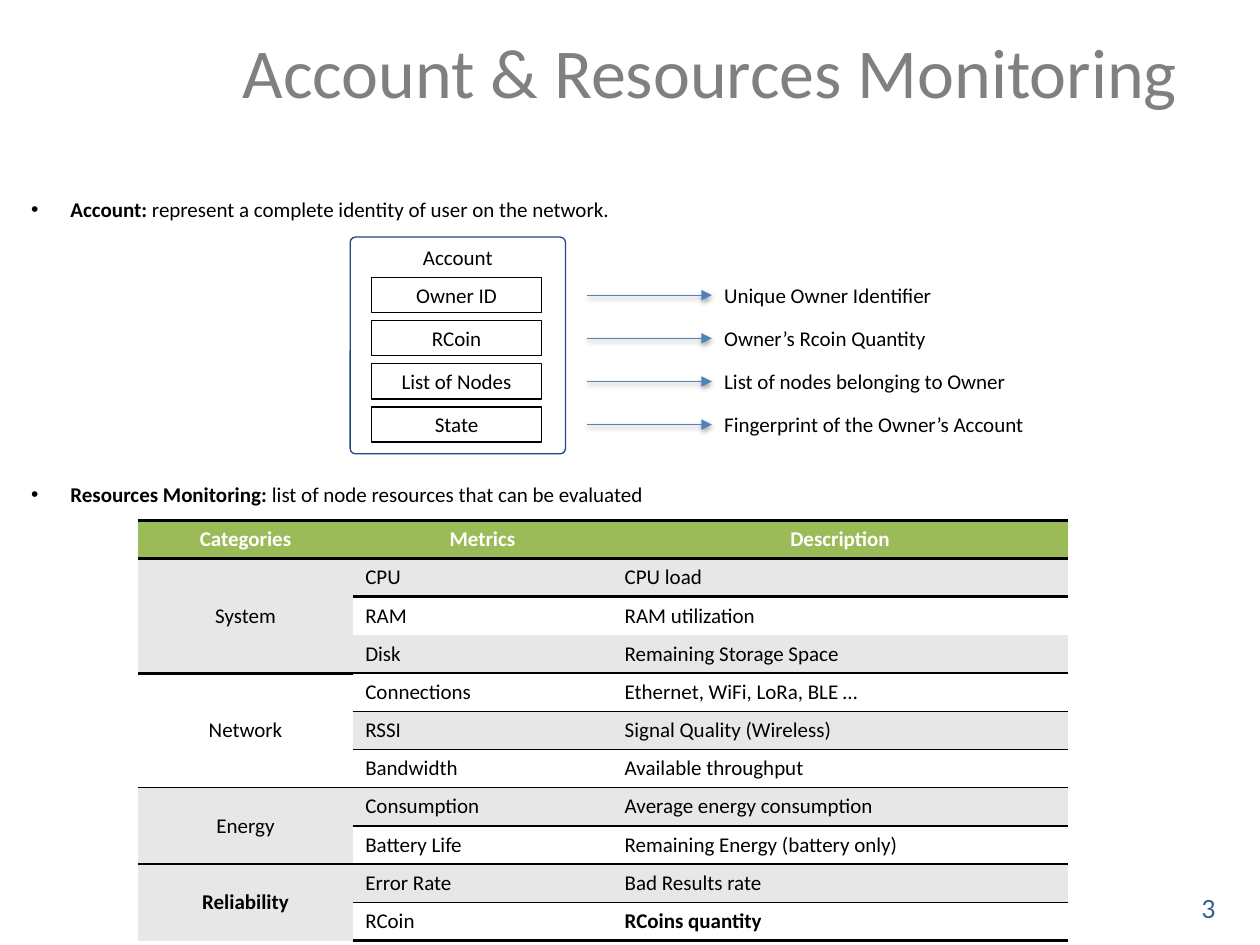
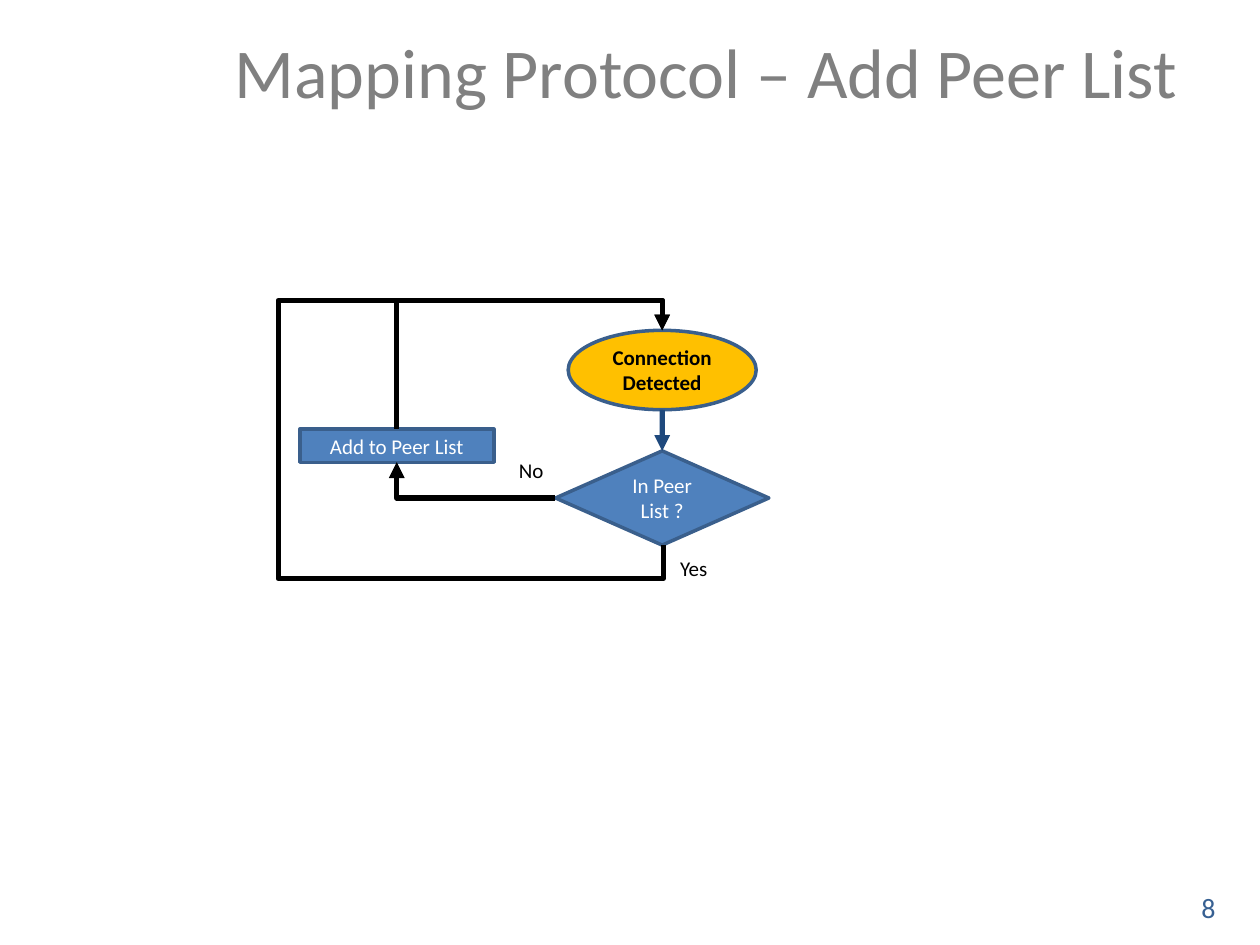
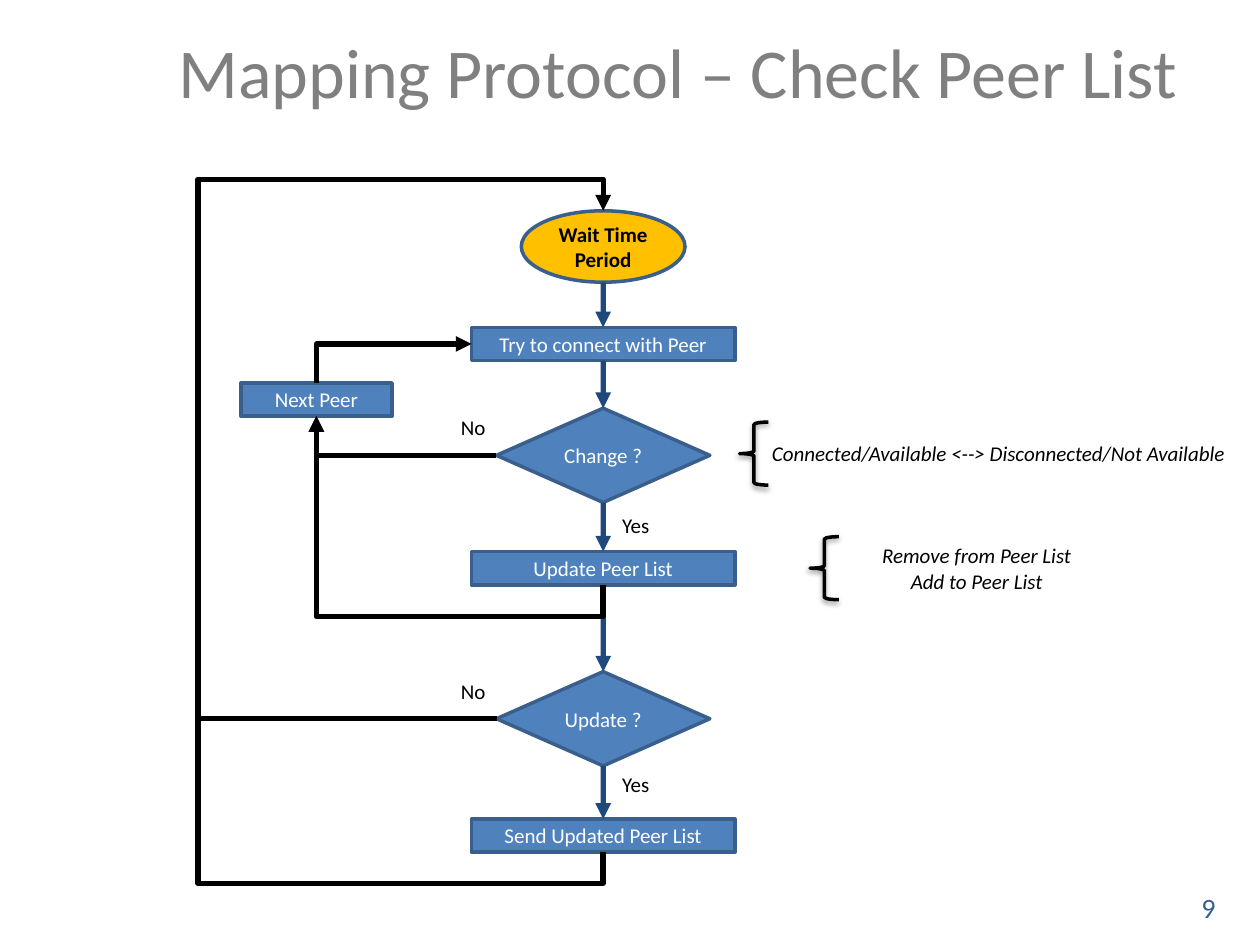
from typing import NamedTuple

from lxml import etree
from pptx import Presentation
from pptx.dml.color import RGBColor
from pptx.enum.shapes import MSO_CONNECTOR, MSO_SHAPE
from pptx.enum.text import MSO_ANCHOR, PP_ALIGN
from pptx.oxml.ns import qn
from pptx.util import Cm, Pt

STRAIGHT, ELBOW = MSO_CONNECTOR.STRAIGHT, MSO_CONNECTOR.ELBOW
RECT, ROUND_RECT = MSO_SHAPE.RECTANGLE, MSO_SHAPE.ROUNDED_RECTANGLE
DIAMOND, ELLIPSE, BRACE = MSO_SHAPE.DIAMOND, MSO_SHAPE.OVAL, MSO_SHAPE.LEFT_BRACE
TOP, MIDDLE, BASE = MSO_ANCHOR.TOP, MSO_ANCHOR.MIDDLE, MSO_ANCHOR.BOTTOM
START, CENTER, END, JUSTIFY = (PP_ALIGN.LEFT, PP_ALIGN.CENTER, PP_ALIGN.RIGHT,
                               PP_ALIGN.JUSTIFY)
UP, LEFT, DOWN = 0, 1, 2

FONT = "Calibri"
BLACK, WHITE, GRAY, PAGE_BLUE = "000000", "FFFFFF", "808080", "376092"
BLUE, NAVY, EDGE, AMBER = "4F81BD", "1F497D", "3A5F8C", "FFC000"
GREEN, BAND = "9BBB59", "E7E7E7"
NO_TABLE_STYLE = "{2D5ABB26-0587-4C30-8999-92F81FD0307C}"
TEXT_H = 0.76
DIAMOND_SIZE = (4.3, 1.9)
STEP_H = 0.67


class Node(NamedTuple):
    kind: int
    text: str
    center_x: float
    top: float
    width: float
    height: float


class Label(NamedTuple):
    text: str
    left: float
    top: float
    width: float = 1.27
    height: float = TEXT_H
    italic: bool = False


class Field(NamedTuple):
    name: str
    meaning: str


class Category(NamedTuple):
    name: str
    metrics: list


FIELDS = [
    Field("Owner ID", "Unique Owner Identifier"),
    Field("RCoin", "Owner’s Rcoin Quantity"),
    Field("List of Nodes", "List of nodes belonging to Owner"),
    Field("State", "Fingerprint of the Owner’s Account"),
]
HEADINGS = ["Categories", "Metrics", "Description"]
CATEGORIES = [
    Category("System", [("CPU", "CPU load"), ("RAM", "RAM utilization"),
                        ("Disk", "Remaining Storage Space")]),
    Category("Network", [("Connections", "Ethernet, WiFi, LoRa, BLE …"),
                         ("RSSI", "Signal Quality (Wireless)"),
                         ("Bandwidth", "Available throughput")]),
    Category("Energy", [("Consumption", "Average energy consumption"),
                        ("Battery Life", "Remaining Energy (battery only)")]),
    Category("Reliability", [("Error Rate", "Bad Results rate"),
                             ("RCoin", "RCoins quantity")]),
]
BOLD_CELLS = {"Reliability", "RCoins quantity"}
# Width in points of the rule under each table row, and its first column
RULES = {0: (2, 0), 3: (1, 0), 4: (1, 1), 6: (1, 0), 7: (1, 1), 8: (1, 0), 10: (2, 0)}


def rgb(color: str) -> RGBColor:
    return RGBColor.from_string(color)


def sub(parent, tag: str, **attrs):
    return etree.SubElement(parent, qn(tag), {k: str(v) for k, v in attrs.items()})


def write(tf, text: str, *, lead="", size=12, color=BLACK, bold=False, italic=False,
          align=START, anchor=TOP, wrap=True, bullet=False) -> None:
    """Fill a text frame, one paragraph per line, after an optional bold lead."""
    tf.word_wrap = wrap
    tf.vertical_anchor = anchor
    for i, line in enumerate(text.split("\n")):
        p = tf.paragraphs[0] if i == 0 else tf.add_paragraph()
        p.alignment = align
        if bullet:
            pPr = p._p.get_or_add_pPr()
            pPr.set("marL", str(Cm(0.79)))
            pPr.set("indent", str(-Cm(0.79)))
            sub(pPr, "a:buFont", typeface="Arial")
            sub(pPr, "a:buChar", char="•")
        for words, heavy in ((lead, True), (line, bold)):
            if words:
                r = p.add_run()
                r.text = words
                f = r.font
                f.name, f.size, f.bold, f.italic = FONT, Pt(size), heavy, italic
                f.color.rgb = rgb(color)


def add_text(slide, text: str, left, top, width, height=TEXT_H, **style) -> None:
    sp = slide.shapes.add_textbox(Cm(left), Cm(top), Cm(width), Cm(height))
    write(sp.text_frame, text, **style)


def set_effects(sp, shadow: bool) -> None:
    """Replace the theme shadow by none or by a soft one below."""
    effects = sub(sp._element.spPr, "a:effectLst")
    if shadow:
        outer = sub(effects, "a:outerShdw", blurRad=Pt(3.1), dist=Pt(1.6),
                    dir=90 * 60000, rotWithShape=0)
        sub(sub(outer, "a:srgbClr", val=BLACK), "a:alpha", val=38000)


def set_line(sp, color: str, width: float) -> None:
    sp.line.color.rgb = rgb(color)
    sp.line.width = Pt(width)


def add_shape(slide, kind, left, top, width, height, *, line, weight, fill=None,
              corner=None, shadow=False):
    sp = slide.shapes.add_shape(kind, Cm(left), Cm(top), Cm(width), Cm(height))
    if fill:
        sp.fill.solid()
        sp.fill.fore_color.rgb = rgb(fill)
    else:
        sp.fill.background()
    if corner is not None:
        sp.adjustments[0] = corner
    set_line(sp, line, weight)
    set_effects(sp, shadow)
    return sp


def finish_connector(cxn, color: str, width: float, arrow=True, shadow=False) -> None:
    set_line(cxn, color, width)
    if arrow:
        sub(cxn.line._get_or_add_ln(), "a:tailEnd", type="triangle")
    set_effects(cxn, shadow)


def side(sp, index: int) -> tuple[int, int]:
    """Middle of a side, counted as connection sites are."""
    return {UP: (sp.left + sp.width // 2, sp.top),
            LEFT: (sp.left, sp.top + sp.height // 2),
            DOWN: (sp.left + sp.width // 2, sp.top + sp.height)}[index]


def add_down_arrow(slide, upper, lower) -> None:
    cxn = slide.shapes.add_connector(STRAIGHT, *side(upper, DOWN), *side(lower, UP))
    if upper.auto_shape_type != ELLIPSE:
        cxn.begin_connect(upper, DOWN)
    cxn.end_connect(lower, UP)
    finish_connector(cxn, NAVY, 3)


def add_route(slide, points: list, arrow=True) -> None:
    """Draw a bent connector through right-angled points given in EMU."""
    (x0, y0), (x1, y1) = points[0], points[-1]
    upright = points[0][0] == points[1][0]
    local = [(y - y0, x0 - x) if upright else (x - x0, y - y0) for x, y in points]
    span = local[-1]
    width, height = abs(span[0]), abs(span[1])
    left, top = (x0 + x1 - width) // 2, (y0 + y1 - height) // 2
    cxn = slide.shapes.add_connector(ELBOW, left, top, left + width, top + height)
    spPr = cxn._element.spPr
    xfrm, geom = spPr.find(qn("a:xfrm")), spPr.find(qn("a:prstGeom"))
    if upright:
        xfrm.set("rot", str(90 * 60000))
    for flip, length in zip(("flipH", "flipV"), span):
        if length < 0:
            xfrm.set(flip, "1")
    geom.set("prst", f"bentConnector{len(points) - 1}")
    guides = geom.find(qn("a:avLst"))
    for i, point in enumerate(local[1:-2]):
        axis = i % 2
        share = round(100000 * point[axis] / span[axis])
        sub(guides, "a:gd", name=f"adj{i + 1}", fmla=f"val {share}")
    finish_connector(cxn, BLACK, 3, arrow)


def add_node(slide, node: Node):
    start = node.kind == ELLIPSE
    sp = add_shape(slide, node.kind, node.center_x - node.width / 2, node.top,
                   node.width, node.height, line=EDGE, weight=2,
                   fill=AMBER if start else BLUE,
                   corner=0 if node.kind == ROUND_RECT else None)
    write(sp.text_frame, node.text, color=BLACK if start else WHITE, bold=start,
          align=CENTER, anchor=MIDDLE)
    return sp


def add_label(slide, label: Label) -> None:
    add_text(slide, label.text, label.left, label.top, label.width, label.height,
             italic=label.italic, align=CENTER if label.italic else START)


def new_slide(prs, title: str, number: int):
    slide = prs.slides.add_slide(prs.slide_layouts[5])
    sp = slide.shapes.title
    sp.left, sp.top, sp.width, sp.height = Cm(0.38), Cm(0.38), Cm(23.6), Cm(2.01)
    write(sp.text_frame, title, size=40, color=GRAY, align=END, anchor=BASE)
    add_text(slide, str(number), 23.42, 17.83, 1.88, 0.94, size=16, color=PAGE_BLUE,
             align=CENTER)
    return slide


def add_account(slide) -> None:
    sp = add_shape(slide, ROUND_RECT, 7.06, 4.78, 4.34, 4.37, line=NAVY, weight=0.75,
                   corner=0.025)
    write(sp.text_frame, "Account", align=CENTER, wrap=False)
    box_h = 0.71
    for i, field in enumerate(FIELDS):
        middle = 5.95 + i * 0.87
        sp = add_shape(slide, RECT, 7.49, middle - box_h / 2, 3.43, box_h, line=BLACK,
                       weight=0.75)
        write(sp.text_frame, field.name, align=CENTER, anchor=MIDDLE, wrap=False)
        add_text(slide, field.meaning, 14.35, middle - TEXT_H / 2, 9.63, align=JUSTIFY)
        cxn = slide.shapes.add_connector(STRAIGHT, Cm(11.84), Cm(middle), Cm(14.35),
                                         Cm(middle))
        finish_connector(cxn, BLUE, 0.75, shadow=True)


def add_border(cell, edge: str, width: float) -> None:
    """Add a black border; a cell takes its borders before its fill."""
    ln = sub(cell._tc.get_or_add_tcPr(), f"a:{edge}", w=Pt(width))
    sub(sub(ln, "a:solidFill"), "a:srgbClr", val=BLACK)


def add_metrics_table(slide) -> None:
    rows = [HEADINGS]
    for category in CATEGORIES:
        rows += [(category.name if i == 0 else "", *metric)
                 for i, metric in enumerate(category.metrics)]
    row_h, widths = 0.77, (4.32, 5.23, 9.19)
    table = slide.shapes.add_table(len(rows), 3, Cm(2.79), Cm(10.49), Cm(sum(widths)),
                                   Cm(row_h * len(rows))).table
    table.first_row = table.horz_banding = False
    table._tbl.tblPr.find(qn("a:tableStyleId")).text = NO_TABLE_STYLE
    for column, width in zip(table.columns, widths):
        column.width = Cm(width)
    for i, row in enumerate(rows):
        table.rows[i].height = Cm(row_h)
        for j, text in enumerate(row):
            cell = table.cell(i, j)
            above, first_above = RULES.get(i - 1, (0, 0)) if i else (2, 0)
            below, first_below = RULES.get(i, (0, 0))
            if above and j >= first_above:
                add_border(cell, "lnT", above)
            if below and j >= first_below:
                add_border(cell, "lnB", below)
            cell.fill.solid()
            cell.fill.fore_color.rgb = rgb(GREEN if i == 0 else BAND if i % 2 else WHITE)
            cell.vertical_anchor = MIDDLE
            if text:
                write(cell.text_frame, text, color=BLACK if i else WHITE,
                      bold=i == 0 or text in BOLD_CELLS, anchor=MIDDLE,
                      align=CENTER if i == 0 or j == 0 else JUSTIFY)
    first = 1
    for category in CATEGORIES:
        last = first + len(category.metrics) - 1
        table.cell(first, 0).merge(table.cell(last, 0))
        first = last + 1


def build_monitoring(prs) -> None:
    slide = new_slide(prs, "Account & Resources Monitoring", 3)
    for top, lead, text in (
            (3.84, "Account:", " represent a complete identity of user on the network."),
            (9.58, "Resources Monitoring: ", "list of node resources that can be evaluated")):
        add_text(slide, text, 0.38, top, 23.6, lead=lead, bullet=True, align=JUSTIFY)
    add_account(slide)
    add_metrics_table(slide)


def build_add_peer(prs) -> None:
    slide = new_slide(prs, "Mapping Protocol – Add Peer List", 8)
    axis = 13.35
    detected, listed, add = [add_node(slide, node) for node in (
        Node(ELLIPSE, "Connection Detected", axis, 6.66, 3.79, 1.6),
        Node(DIAMOND, "In Peer List ?", axis, 9.09, *DIAMOND_SIZE),
        Node(ROUND_RECT, "Add to Peer List", 8, 8.65, 3.91, STEP_H))]
    add_down_arrow(slide, detected, listed)
    add_label(slide, Label("Yes", 13.46, 11.07))
    add_label(slide, Label("No", 10.21, 9.09))

    start, end = side(listed, LEFT), side(add, DOWN)
    add_route(slide, [start, (end[0], start[1]), end])
    end, return_y = side(detected, UP), Cm(6.06)
    x, y = side(listed, DOWN)
    x += Cm(0.02)
    loop_x, loop_y = Cm(5.61), Cm(11.66)
    add_route(slide, [(x, y), (x, loop_y), (loop_x, loop_y), (loop_x, return_y),
                      (end[0], return_y), end])
    start = side(add, UP)
    add_route(slide, [start, (start[0], return_y), (end[0], return_y), end])


def build_check_peer(prs) -> None:
    slide = new_slide(prs, "Mapping Protocol – Check Peer List", 9)
    axis, step = 12.16, (5.31, STEP_H)
    chain = [add_node(slide, node) for node in (
        Node(ELLIPSE, "Wait Time Period", axis, 4.25, 3.3, 1.44),
        Node(ROUND_RECT, "Try to connect with Peer", axis, 6.6, *step),
        Node(DIAMOND, "Change ?", axis, 8.23, *DIAMOND_SIZE),
        Node(ROUND_RECT, "Update Peer List", axis, 11.12, *step),
        Node(DIAMOND, "Update ?", axis, 13.54, *DIAMOND_SIZE),
        Node(ROUND_RECT, "Send Updated Peer List", axis, 16.51, *step))]
    wait, connect, change, update_list, update, send = chain
    next_peer = add_node(slide, Node(ROUND_RECT, "Next Peer", 6.38, 7.72, 3.05, STEP_H))
    for upper, lower in zip(chain, chain[1:]):
        add_down_arrow(slide, upper, lower)

    start, end = side(next_peer, UP), side(connect, LEFT)
    add_route(slide, [start, (start[0], end[1]), end])
    start, end = side(change, LEFT), side(next_peer, DOWN)
    add_route(slide, [start, (end[0], start[1]), end])
    start, turn_y = side(update_list, DOWN), Cm(12.43)
    add_route(slide, [start, (start[0], turn_y), (end[0], turn_y), end])
    start, end = side(update, LEFT), side(wait, UP)
    loop_x, return_y, loop_y = Cm(3.99), Cm(3.61), Cm(17.81)
    add_route(slide, [start, (loop_x, start[1]), (loop_x, return_y),
                      (end[0], return_y), end])
    end, start = start, side(send, DOWN)
    add_route(slide, [start, (start[0], loop_y), (loop_x, loop_y), (loop_x, end[1]), end],
              arrow=False)

    for label in (
            Label("Yes", 12.29, 10.21), Label("Yes", 12.29, 15.42),
            Label("No", 9.04, 8.23), Label("No", 9.04, 13.56),
            Label("Connected/Available <--> Disconnected/Not Available", 15.19, 8.76,
                  9.88, italic=True),
            Label("Remove from Peer List\nAdd to Peer List", 16.97, 10.82, 5.44, 1.27,
                  italic=True)):
        add_label(slide, label)
    for left, top in ((14.91, 8.51), (16.33, 10.82)):
        add_shape(slide, BRACE, left, top, 0.58, 1.27, line=BLACK, weight=2, shadow=True)


def main() -> None:
    prs = Presentation()
    prs.slide_width, prs.slide_height = Cm(25.4), Cm(19.05)
    build_monitoring(prs)
    build_add_peer(prs)
    build_check_peer(prs)
    prs.save("out.pptx")


if __name__ == "__main__":
    main()
